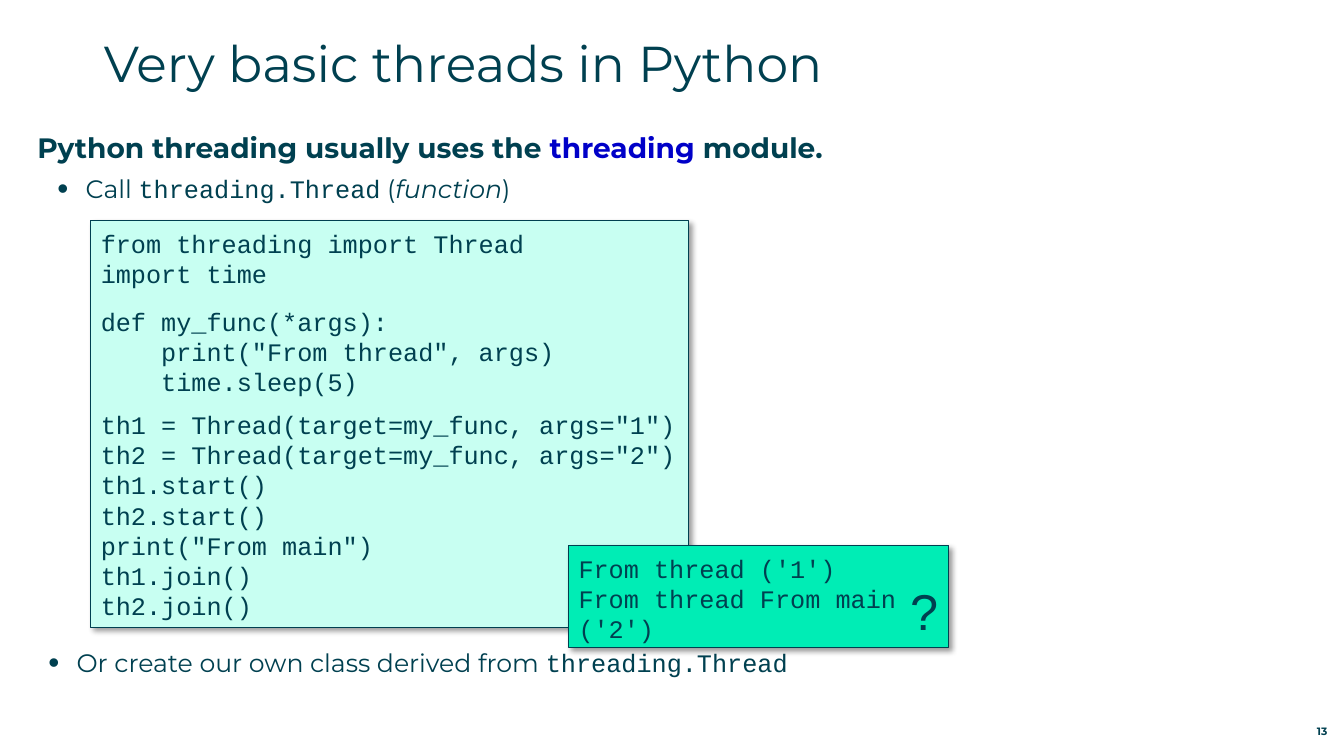
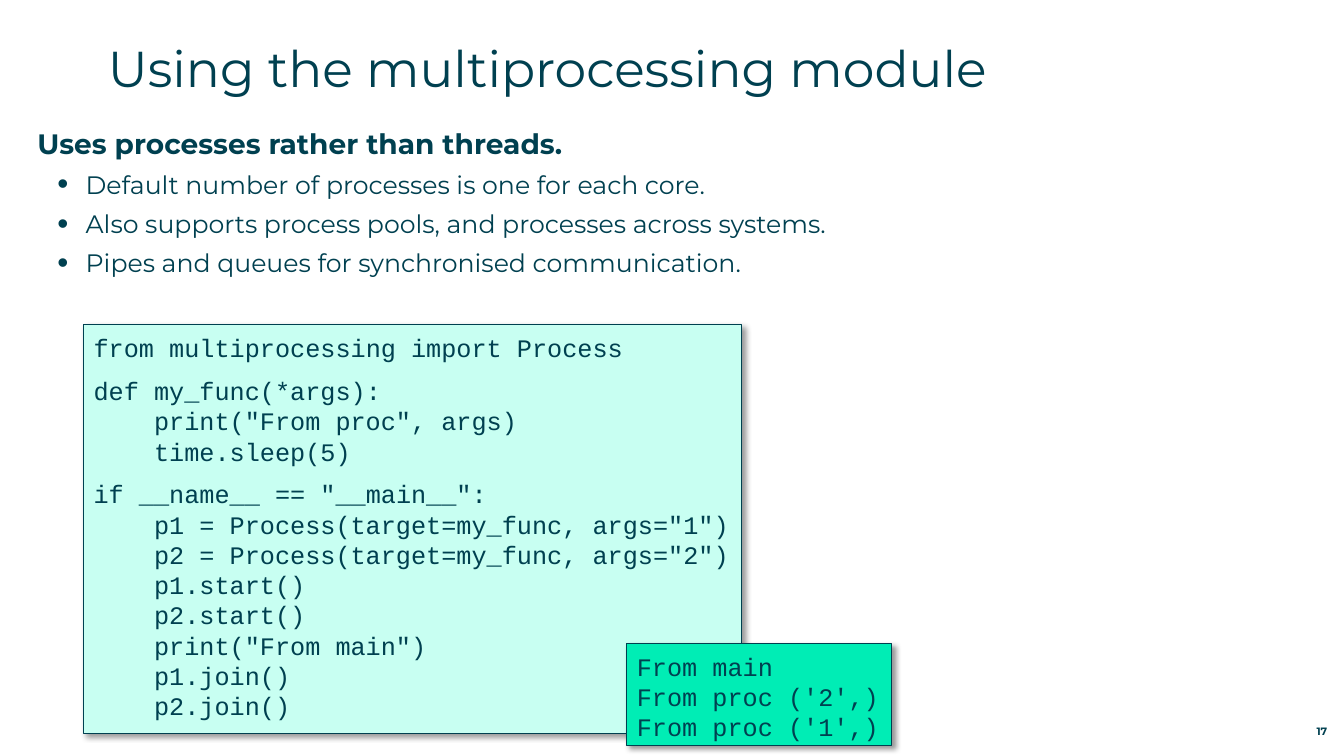
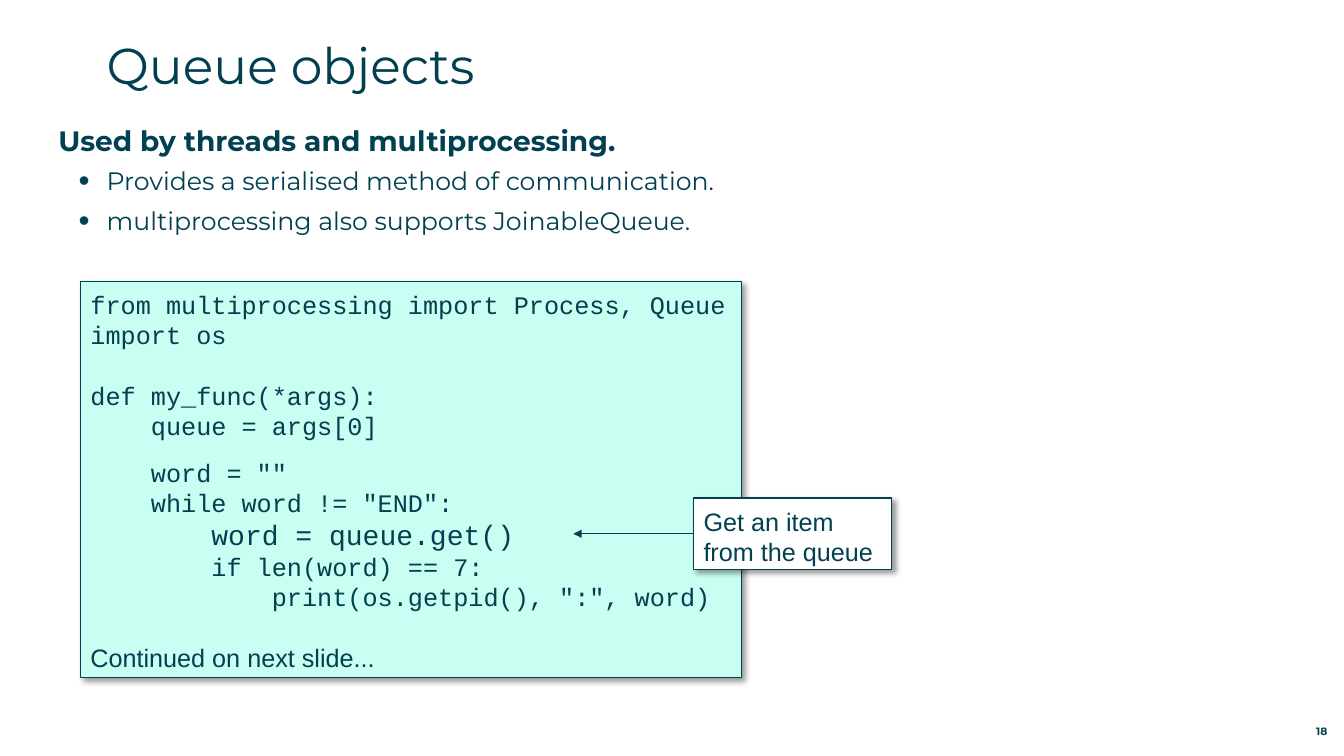
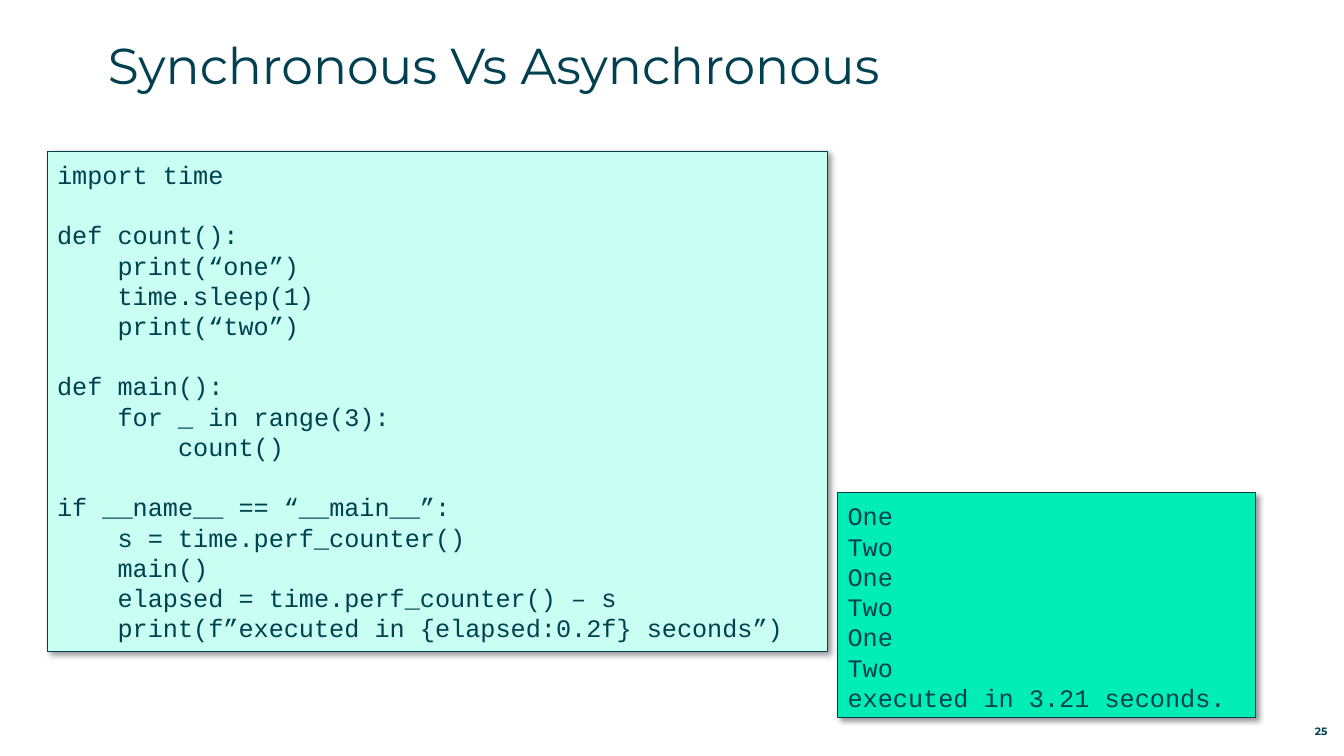
from lxml import etree
from pptx import Presentation
from pptx.dml.color import RGBColor
from pptx.enum.shapes import MSO_CONNECTOR, MSO_SHAPE
from pptx.enum.text import MSO_ANCHOR, PP_ALIGN
from pptx.oxml.ns import qn
from pptx.util import Cm, Pt

RECT = MSO_SHAPE.RECTANGLE
STRAIGHT = MSO_CONNECTOR.STRAIGHT
TOP, BOTTOM = MSO_ANCHOR.TOP, MSO_ANCHOR.BOTTOM
LEFT, RIGHT = PP_ALIGN.LEFT, PP_ALIGN.RIGHT

COLORS = {
    "ink": "004050",
    "keyword": "0000C8",
    "code": "C8FFF2",
    "output": "00EDB5",
    "callout": "FFFFFF",
    "shadow": "000000",
}
SANS, MONO, PLAIN = "Montserrat", "Courier New", "Arial"
CODE_SIZE = 18
CHAR_WIDTH = 10.8  # points, one Courier New character at CODE_SIZE
LINE_FACTOR = 1.2
BLANK_LINE = CODE_SIZE * LINE_FACTOR

# style: font, size, bold
STYLES = {
    "title": (SANS, 36, False),
    "heading": (SANS, 20, True),
    "bullet": (SANS, 18, False),
    "number": (SANS, 7.6, True),
    "mark": (PLAIN, 36, False),
}


def add_text(s, box, paragraphs, align=LEFT, anchor=TOP):
    """Add a text box; a paragraph is (style, run, ...), a run is text or (text, variant)."""
    tf = s.shapes.add_textbox(*map(Cm, box)).text_frame
    tf.word_wrap = True
    tf.vertical_anchor = anchor
    tf.margin_left = tf.margin_right = tf.margin_top = tf.margin_bottom = 0
    for i, (style, *runs) in enumerate(paragraphs):
        font, size, bold = STYLES[style]
        p = tf.add_paragraph() if i else tf.paragraphs[0]
        p.alignment = align
        if style in ("heading", "bullet"):
            p.space_after = Pt(6.5)
        if style == "bullet":
            pPr = p._p.get_or_add_pPr()
            pPr.set("marL", str(Cm(1.22)))
            pPr.set("indent", str(Cm(-0.71)))
            etree.SubElement(pPr, qn("a:buSzPct"), val="125000")
            etree.SubElement(pPr, qn("a:buFont"), typeface=PLAIN)
            etree.SubElement(pPr, qn("a:buChar"), char="•")
        for run in runs:
            text, variant = (run, "") if isinstance(run, str) else run
            r = p.add_run()
            r.text = text
            r.font.name = MONO if variant == "mono" else font
            r.font.size = Pt(size)
            r.font.bold = bold
            r.font.italic = variant == "italic"
            color = "keyword" if variant == "keyword" else "ink"
            r.font.color.rgb = RGBColor.from_string(COLORS[color])


def add_panel(s, fill, box, blocks):
    """Add a shadowed panel; a block is (gap before, font, size, lines)."""
    sp = s.shapes.add_shape(RECT, *map(Cm, box))
    sp.fill.solid()
    sp.fill.fore_color.rgb = RGBColor.from_string(COLORS[fill])
    sp.line.color.rgb = RGBColor.from_string(COLORS["ink"])
    sp.line.width = Pt(0.75)
    sp.shadow.inherit = False
    effects = sp._element.spPr.find(qn("a:effectLst"))
    shadow = etree.SubElement(effects, qn("a:outerShdw"), blurRad=str(Pt(4)), dist=str(Pt(3)),
                              dir="2700000", algn="tl", rotWithShape="0")
    color = etree.SubElement(shadow, qn("a:srgbClr"), val=COLORS["shadow"])
    etree.SubElement(color, qn("a:alpha"), val="40000")

    tf = sp.text_frame
    tf.word_wrap = True
    tf.vertical_anchor = TOP
    tf.margin_left = tf.margin_right = Cm(0.25)
    tf.margin_top, tf.margin_bottom = Cm(0.2), Cm(0.1)
    p = None
    for gap, font, size, lines in blocks:
        for i, line in enumerate(lines):
            p = tf.add_paragraph() if p else tf.paragraphs[0]
            p.text = line.lstrip()
            p.alignment = LEFT
            p.line_spacing = Pt(size * LINE_FACTOR)
            p.space_before = Pt(0 if i else gap)
            indent = len(line) - len(line.lstrip())
            p._p.get_or_add_pPr().set("marL", str(Pt(indent * CHAR_WIDTH)))
            r = p.runs[0]
            r.font.name = font
            r.font.size = Pt(size)
            r.font.color.rgb = RGBColor.from_string(COLORS["ink"])


# number, title, title left and top, body texts, panels
SLIDES = [
    (13, "Very basic threads in Python", (2.62, 0.81), [
        ((0.94, 3.3, 31.98, 2), [
            ("heading", "Python threading usually uses the ", ("threading", "keyword"), " module."),
            ("bullet", "Call ", ("threading.Thread", "mono"), " (", ("function", "italic"), ")"),
        ]),
        ((0.71, 16.31, 31.98, 1), [
            ("bullet", "Or create our own class derived from ", ("threading.Thread", "mono")),
        ]),
    ], [
        ("code", (2.29, 5.56, 15.06, 10.26), [
            (0, MONO, CODE_SIZE, [
                "from threading import Thread",
                "import time",
            ]),
            (12, MONO, CODE_SIZE, [
                "def my_func(*args):",
                '    print("From thread", args)',
                "    time.sleep(5)",
            ]),
            (9, MONO, CODE_SIZE, [
                'th1 = Thread(target=my_func, args="1")',
                'th2 = Thread(target=my_func, args="2")',
                "th1.start()",
                "th2.start()",
                'print("From main")',
                "th1.join()",
                "th2.join()",
            ]),
        ]),
        ("output", (14.33, 13.74, 9.58, 2.57), [
            (0, MONO, CODE_SIZE, ["From thread ('1')", "From thread From main", "('2')"]),
        ]),
    ]),
    (17, "Using the multiprocessing module", (2.72, 0.94), [
        ((0.94, 3.18, 31.98, 4.2), [
            ("heading", "Uses processes rather than threads."),
            ("bullet", "Default number of processes is one for each core."),
            ("bullet", "Also supports process pools, and processes across systems."),
            ("bullet", "Pipes and queues for synchronised communication."),
        ]),
    ], [
        ("code", (2.11, 8.18, 16.59, 10.31), [
            (0, MONO, CODE_SIZE, ["from multiprocessing import Process"]),
            (9, MONO, CODE_SIZE, [
                "def my_func(*args):",
                '    print("From proc", args)',
                "    time.sleep(5)",
            ]),
            (9, MONO, CODE_SIZE, [
                'if __name__ == "__main__":',
                '    p1 = Process(target=my_func, args="1")',
                '    p2 = Process(target=my_func, args="2")',
                "    p1.start()",
                "    p2.start()",
                '    print("From main")',
                "    p1.join()",
                "    p2.join()",
            ]),
        ]),
        ("output", (15.8, 16.21, 6.68, 2.57), [
            (0, MONO, CODE_SIZE, ["From main", "From proc ('2',)", "From proc ('1',)"]),
        ]),
    ]),
    (18, "Queue objects", (2.69, 0.86), [
        ((1.47, 3.1, 31.98, 3.2), [
            ("heading", "Used by threads and multiprocessing."),
            ("bullet", "Provides a serialised method of communication."),
            ("bullet", "multiprocessing also supports JoinableQueue."),
        ]),
    ], [
        ("code", (2.03, 7.09, 16.66, 9.98), [
            (0, MONO, CODE_SIZE, [
                "from multiprocessing import Process, Queue",
                "import os",
            ]),
            (BLANK_LINE, MONO, CODE_SIZE, [
                "def my_func(*args):",
                "    queue = args[0]",
            ]),
            (12, MONO, CODE_SIZE, [
                '    word = ""',
                '    while word != "END":',
            ]),
            (0, MONO, 20, ["        word = queue.get()"]),
            (0, MONO, CODE_SIZE, [
                "        if len(word) == 7:",
                '            print(os.getpid(), ":", word)',
            ]),
            (BLANK_LINE, PLAIN, CODE_SIZE, ["Continued on next slide..."]),
        ]),
        ("callout", (17.48, 12.55, 5, 1.8), [
            (0, PLAIN, CODE_SIZE, ["Get an item from the queue"]),
        ]),
    ]),
    (25, "Synchronous Vs Asynchronous", (2.72, 0.86), [], [
        ("code", (1.19, 3.81, 19.66, 12.6), [
            (0, MONO, CODE_SIZE, ["import time"]),
            (BLANK_LINE, MONO, CODE_SIZE, [
                "def count():",
                "    print(“one”)",
                "    time.sleep(1)",
                "    print(“two”)",
            ]),
            (BLANK_LINE, MONO, CODE_SIZE, [
                "def main():",
                "    for _ in range(3):",
                "        count()",
            ]),
            (BLANK_LINE, MONO, CODE_SIZE, [
                "if __name__ == “__main__”:",
                "    s = time.perf_counter()",
                "    main()",
                "    elapsed = time.perf_counter() – s",
                "    print(f”executed in {elapsed:0.2f} seconds”)",
            ]),
        ]),
        ("output", (21.11, 12.42, 10.54, 5.66), [
            (0, MONO, CODE_SIZE, ["One", "Two"] * 3 + ["executed in 3.21 seconds."]),
        ]),
    ]),
]

prs = Presentation()
prs.slide_width, prs.slide_height = Cm(33.87), Cm(19.05)
blank = prs.slide_layouts[6]

for number, title, title_at, texts, panels in SLIDES:
    s = prs.slides.add_slide(blank)
    add_text(s, (*title_at, 30, 2.24), [("title", title)])
    for box, paragraphs in texts:
        add_text(s, box, paragraphs)
    for fill, box, blocks in panels:
        add_panel(s, fill, box, blocks)
    add_text(s, (31.27, 18.08, 2.18, 0.51), [("number", str(number))], RIGHT, BOTTOM)

threads, _, queues, _ = prs.slides
add_text(threads, (22.94, 14.63, 0.9, 1.5), [("mark", "?")])

arrow = queues.shapes.add_connector(STRAIGHT, Cm(17.48), Cm(13.45), Cm(14.45), Cm(13.45))
arrow.line.color.rgb = RGBColor.from_string(COLORS["ink"])
arrow.line.width = Pt(0.75)
etree.SubElement(arrow.line._get_or_add_ln(), qn("a:tailEnd"), type="triangle")
etree.SubElement(arrow._element.spPr, qn("a:effectLst"))

prs.save("out.pptx")
